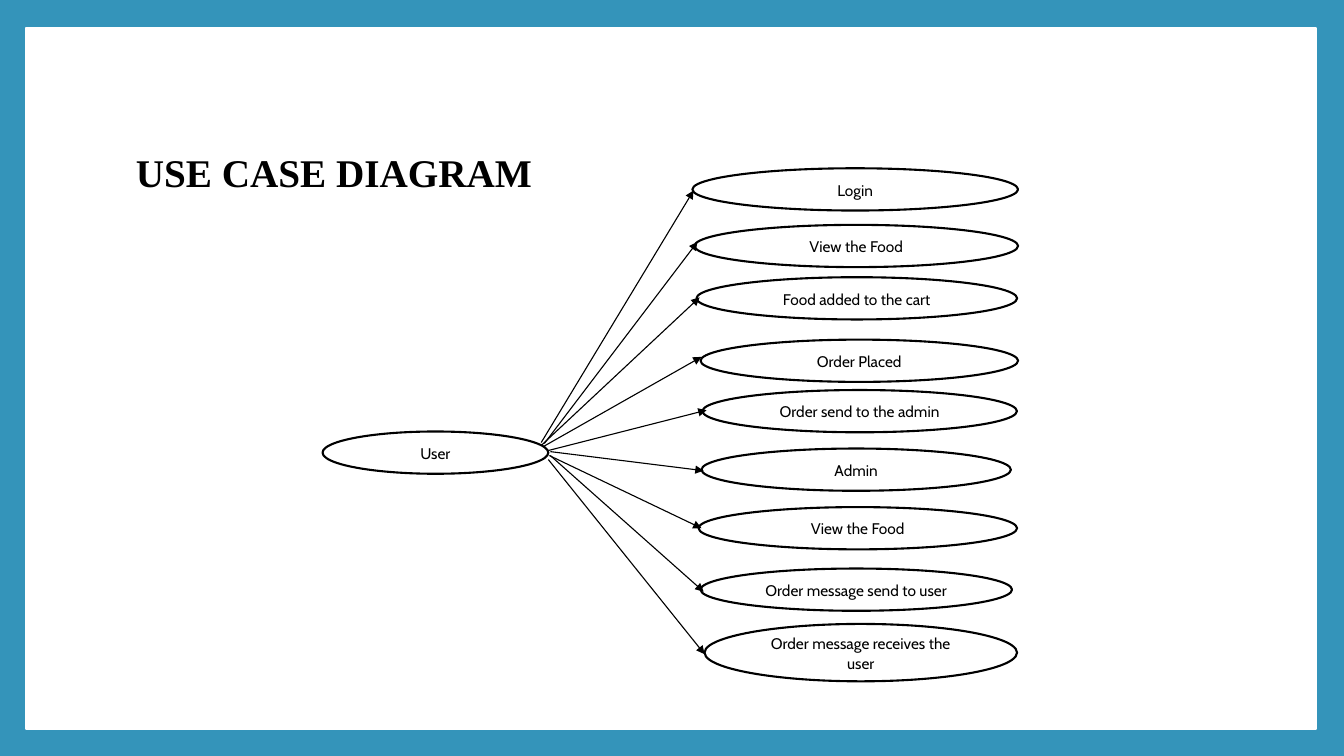
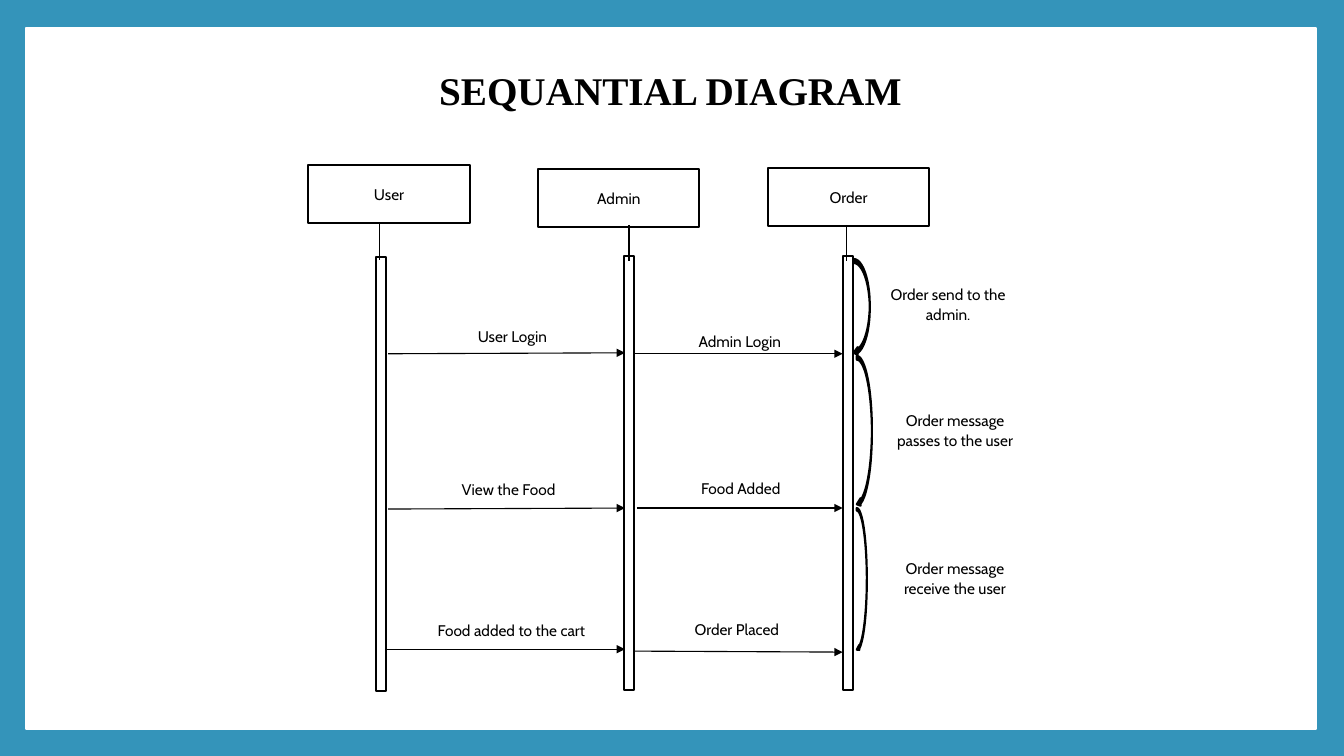
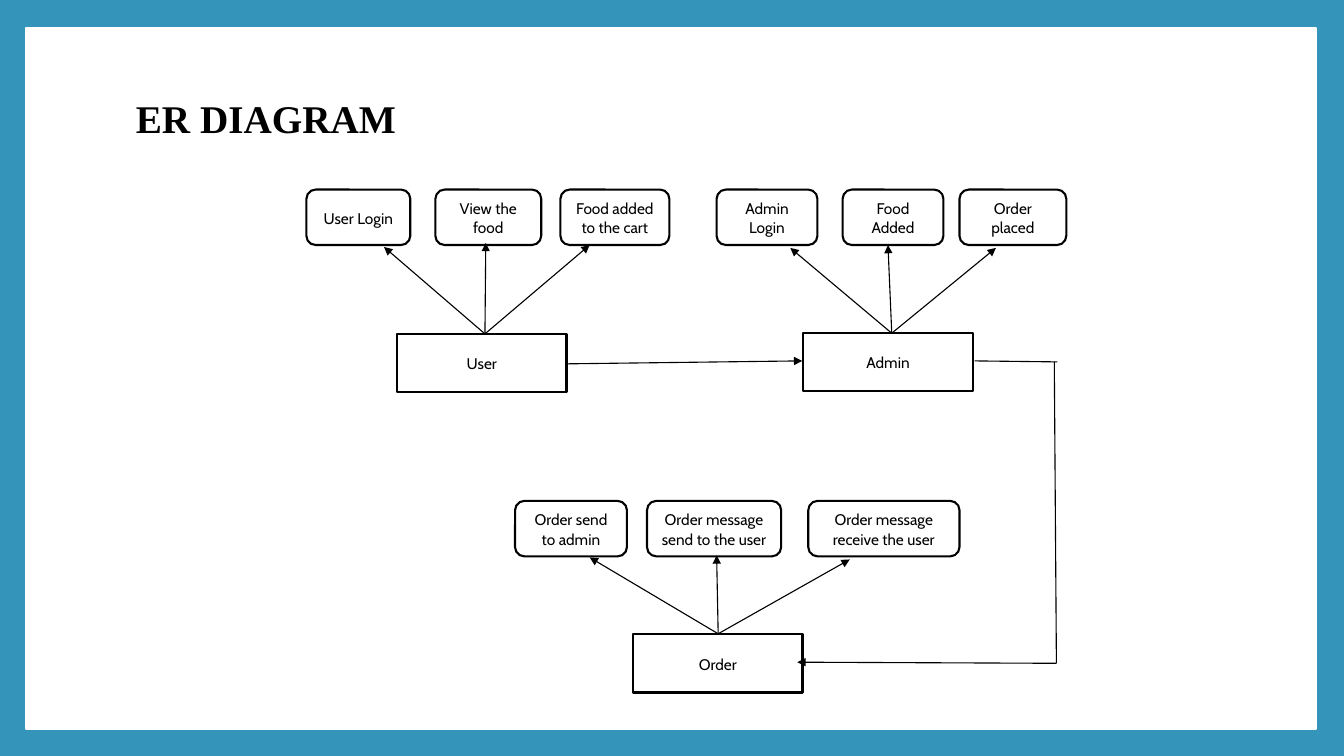
from dataclasses import dataclass

from lxml import etree
from pptx import Presentation
from pptx.dml.color import RGBColor
from pptx.enum.shapes import MSO_CONNECTOR, MSO_SHAPE
from pptx.enum.text import MSO_ANCHOR, PP_ALIGN
from pptx.oxml.ns import qn
from pptx.util import Pt

COLORS = {"frame": "3494BA", "paper": "FFFFFF", "ink": "000000"}
BODY_FONT, TITLE_FONT = "Cabin", "Times New Roman"
RECT, OVAL, ROUNDED = MSO_SHAPE.RECTANGLE, MSO_SHAPE.OVAL, MSO_SHAPE.ROUNDED_RECTANGLE
CURVED = MSO_SHAPE.CURVED_LEFT_ARROW
STRAIGHT = MSO_CONNECTOR.STRAIGHT
LEFT, CENTER = PP_ALIGN.LEFT, PP_ALIGN.CENTER
MIDDLE, BOTTOM = MSO_ANCHOR.MIDDLE, MSO_ANCHOR.BOTTOM
BLANK = 6


@dataclass(frozen=True)
class Node:
    """A shape with its text and its place in points."""

    text: str
    left: float
    top: float
    width: float
    height: float


@dataclass(frozen=True)
class UseCase:
    """An oval and the arrow that leads to it."""

    node: Node
    start: tuple[float, float]
    tip: tuple[float, float]


@dataclass(frozen=True)
class Lifeline:
    """A participant with its head, stem and bar."""

    name: str
    head_top: float
    stem_x: float
    stem_top: float
    bar_left: float
    bar_top: float


@dataclass(frozen=True)
class Entity:
    """An entity box, its attributes and the fan of arrows between them."""

    name: str
    left: float
    top: float
    attribute_top: float
    attributes: tuple[tuple[str, float, float], ...]
    apex: tuple[float, float]
    tips: tuple[tuple[float, float], ...]


USER = Node("User", 230.4, 308.2, 161.3, 30.2)
USE_CASES = [
    UseCase(Node("Login", 494.6, 120.2, 232.6, 30.2), (386.6, 316.1), (495.4, 136.1)),
    UseCase(Node("View the Food", 496.1, 160.6, 231.1, 30.2), (388.8, 316.8), (498.2, 172.8)),
    UseCase(Node("Food added to the cart", 497.5, 198, 229, 30.2), (386.6, 318.2), (499.7, 212.4)),
    UseCase(Node("Order Placed", 500.4, 242.6, 226.8, 30.2), (388.1, 319), (501.1, 254.9)),
    UseCase(Node("Order send to the admin", 501.8, 278.6, 224.6, 30.2), (391.7, 321.8), (504.7, 293)),
    UseCase(Node("Admin", 501.1, 320.4, 221, 30.2), (393.1, 322.6), (502.6, 336.2)),
    UseCase(Node("View the Food", 499, 362.2, 227.5, 30.2), (392.4, 325.4), (501.1, 377.3)),
    UseCase(Node("Order message send to user", 500.4, 406.1, 222.5, 30.2), (393.1, 325.4), (502.6, 422.6)),
    UseCase(Node("Order message receives the user", 503.3, 445.7, 223.2, 41), (391.7, 328.3), (503.3, 467.3)),
]

HEAD_LEFT, HEAD_STEP = 220.3, 164.15
LIFELINES = [
    Lifeline("User", 118.1, 271.4, 159.8, 268.6, 183.6),
    Lifeline("Admin", 121, 449.3, 160.6, 445.7, 182.9),
    Lifeline("Order", 120.2, 604.8, 160.6, 601.9, 182.9),
]
MESSAGES = [
    (Node("User Login", 293, 211.2, 146.2, 35.3), (277.2, 252.7), (446.4, 252)),
    (Node("View the Food", 290.2, 320.7, 146.2, 35.3), (277.2, 363.6), (446.4, 362.9)),
    (Node("Food added to the cart", 292.3, 421.5, 146.2, 35.3), (275, 463.7), (446.4, 463.7)),
    (Node("Admin Login", 465.1, 214.8, 126.7, 35.3), (452.9, 252.7), (601.9, 252.7)),
    (Node("Food Added", 465.8, 320, 126.7, 35.3), (455, 362.9), (601.9, 362.9)),
    (Node("Order Placed", 463, 420.8, 126.7, 35.3), (452.9, 465.1), (601.9, 465.8)),
]
LOOPS = [
    Node("", 609.8, 185, 11.5, 69.8),
    Node("", 612, 254.2, 10.8, 108.7),
    Node("", 612, 362.9, 7.2, 103),
]
LOOP_NOTES = [
    Node("Order send to the admin.", 625, 199.4, 104.4, 35.3),
    Node("Order message passes to the user", 628.6, 284.4, 107.3, 44.6),
    Node("Order message receive the user", 624.2, 391, 115.9, 43.2),
]

ENTITIES = [
    Entity(
        "User", 283.7, 238.3, 135.4,
        (("User Login", 218.9, 74.2), ("View the food", 311, 75.6), ("Food added to the cart", 400.3, 77.8)),
        (346.4, 238.5), ((274.3, 176.4), (347, 173.5), (421.2, 175)),
    ),
    Entity(
        "Admin", 573.8, 237.6, 135.4,
        (("Admin Login", 511.9, 72), ("Food Added", 601.9, 72), ("Order placed", 685.4, 76.3)),
        (637, 238), ((564.5, 177.1), (634.3, 175), (711.4, 177.1)),
    ),
    Entity(
        "Order", 452.2, 452.9, 357.8,
        (("Order send to admin", 367.9, 79.9), ("Order message send to the user", 462.2, 95.8),
         ("Order message receive the user", 577.4, 108)),
        (513, 452.7), ((421.2, 398.2), (511.9, 396.7), (607, 399.6)),
    ),
]
LINKS = [
    ((405.4, 259.9), (573.1, 257.8), True),
    ((696.2, 257.8), (755.3, 258.5), False),
    ((753.1, 258.5), (754.6, 473.8), False),
    ((754.6, 473.8), (569.5, 473), True),
]


def color(name: str) -> RGBColor:
    """Return a palette colour."""
    return RGBColor.from_string(COLORS[name])


def write_text(frame, text: str, *, font: str = BODY_FONT, size: float = 11, bold: bool = False,
               align=CENTER, anchor=MIDDLE, spacing: float = 1.07) -> None:
    """Write one formatted paragraph into a text frame."""
    frame.word_wrap = True
    frame.vertical_anchor = anchor
    para = frame.paragraphs[0]
    para.alignment = align
    para.line_spacing = spacing
    span = para.add_run()
    span.text = text
    span.font.name = font
    span.font.size = Pt(size)
    span.font.bold = bold
    span.font.color.rgb = color("ink")


def draw_node(page, node: Node, kind=RECT, *, fill: str = "paper", line: str = "ink", anchor=MIDDLE) -> None:
    """Draw a filled and outlined shape with optional text."""
    box = page.shapes.add_shape(kind, Pt(node.left), Pt(node.top), Pt(node.width), Pt(node.height))
    box.shadow.inherit = False
    box.fill.solid()
    box.fill.fore_color.rgb = color(fill)
    box.line.color.rgb = color(line)
    box.line.width = Pt(1.5)
    if anchor == BOTTOM:
        box.text_frame.margin_bottom = 0
    if node.text:
        write_text(box.text_frame, node.text, anchor=anchor)


def draw_line(page, start: tuple[float, float], end: tuple[float, float], arrow: bool = True) -> None:
    """Draw a thin straight connector, with an arrowhead at its end if asked."""
    connector = page.shapes.add_connector(STRAIGHT, *(Pt(value) for value in start + end))
    connector.line.color.rgb = color("ink")
    connector.line.width = Pt(0.79)
    properties = connector.element.spPr
    if arrow:
        etree.SubElement(properties.find(qn("a:ln")), qn("a:tailEnd"), type="triangle")
    etree.SubElement(properties, qn("a:effectLst"))


def add_page(deck, title: str, title_top: float, align=LEFT):
    """Add a slide with the white panel and its title."""
    page = deck.slides.add_slide(deck.slide_layouts[BLANK])
    draw_node(page, Node("", 18.75, 20.2, 921.6, 500.4), line="paper")
    box = page.shapes.add_textbox(Pt(90), Pt(title_top), Pt(777.6), Pt(40))
    write_text(box.text_frame, title, font=TITLE_FONT, size=28, bold=True, align=align, spacing=1)
    return page


def build_use_cases(deck) -> None:
    """Build the use case diagram."""
    page = add_page(deck, "USE CASE DIAGRAM", 103)
    draw_node(page, USER, OVAL)
    for case in USE_CASES:
        draw_node(page, case.node, OVAL)
    for case in USE_CASES:
        draw_line(page, case.start, case.tip)


def build_sequence(deck) -> None:
    """Build the sequence diagram."""
    page = add_page(deck, "SEQUANTIAL DIAGRAM", 44, CENTER)
    for index, lifeline in enumerate(LIFELINES):
        head_left = HEAD_LEFT + index * HEAD_STEP
        draw_node(page, Node(lifeline.name, head_left, lifeline.head_top, 115.2, 41))
        draw_node(page, Node("", lifeline.bar_left, lifeline.bar_top, 7.2, 310.3))
        stem_top = (lifeline.stem_x, lifeline.stem_top)
        draw_line(page, stem_top, (lifeline.stem_x, lifeline.stem_top + 25.6), arrow=False)
    for label, start, end in MESSAGES:
        draw_node(page, label, line="paper", anchor=BOTTOM)
        draw_line(page, start, end)
    for loop, note in zip(LOOPS, LOOP_NOTES):
        draw_node(page, loop, CURVED, fill="ink")
        draw_node(page, note, line="paper")


def build_entities(deck) -> None:
    """Build the entity relationship diagram."""
    page = add_page(deck, "ER DIAGRAM", 64)
    for entity in ENTITIES:
        draw_node(page, Node(entity.name, entity.left, entity.top, 121, 41.8))
        for text, left, width in entity.attributes:
            draw_node(page, Node(text, left, entity.attribute_top, width, 39.6), ROUNDED)
        for tip in entity.tips:
            draw_line(page, entity.apex, tip)
    for start, end, arrow in LINKS:
        draw_line(page, start, end, arrow)


def main() -> None:
    """Build and save the deck."""
    deck = Presentation()
    deck.slide_width, deck.slide_height = Pt(960), Pt(540)
    backdrop = deck.slide_master.background.fill
    backdrop.solid()
    backdrop.fore_color.rgb = color("frame")
    build_use_cases(deck)
    build_sequence(deck)
    build_entities(deck)
    deck.save("out.pptx")


if __name__ == "__main__":
    main()
